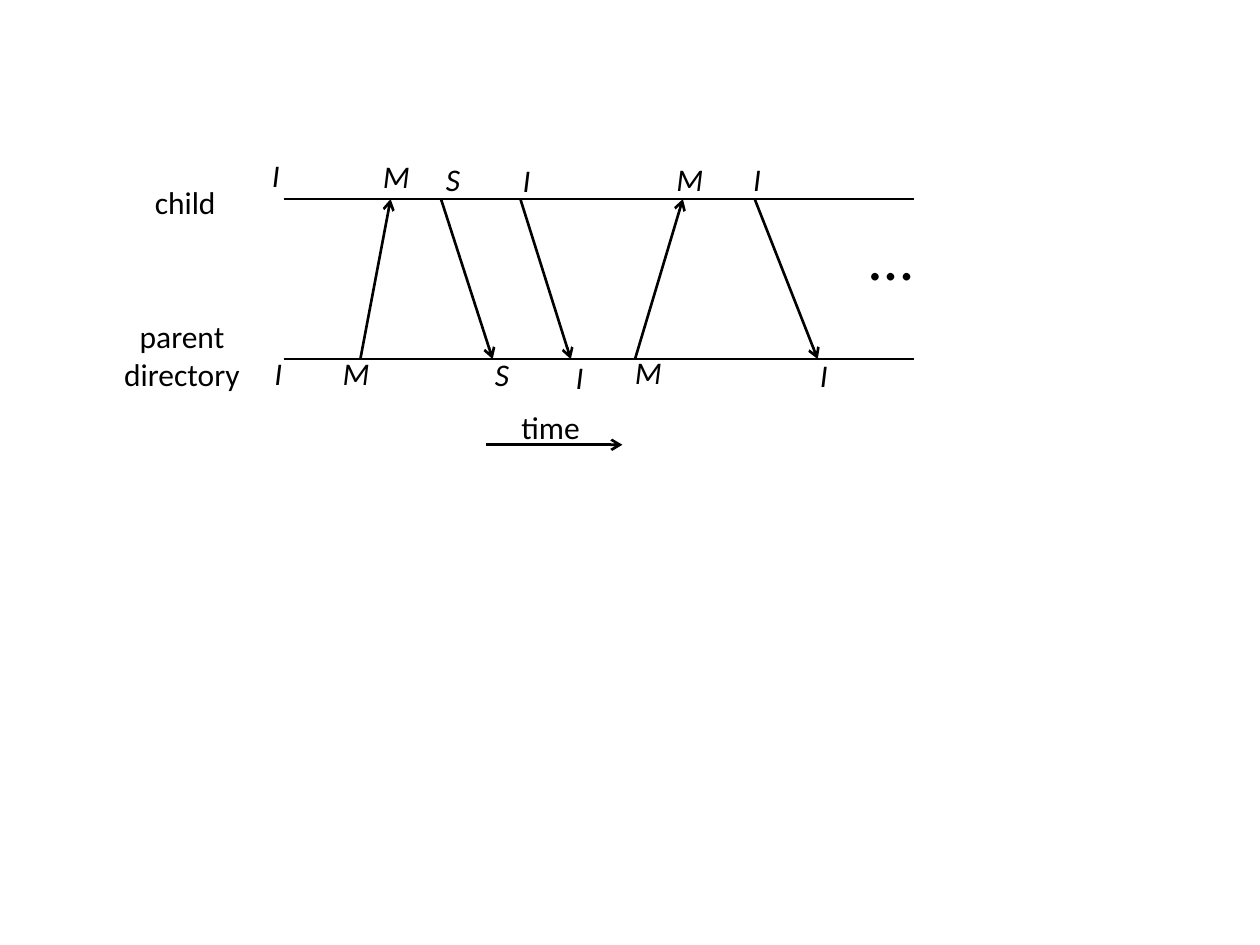
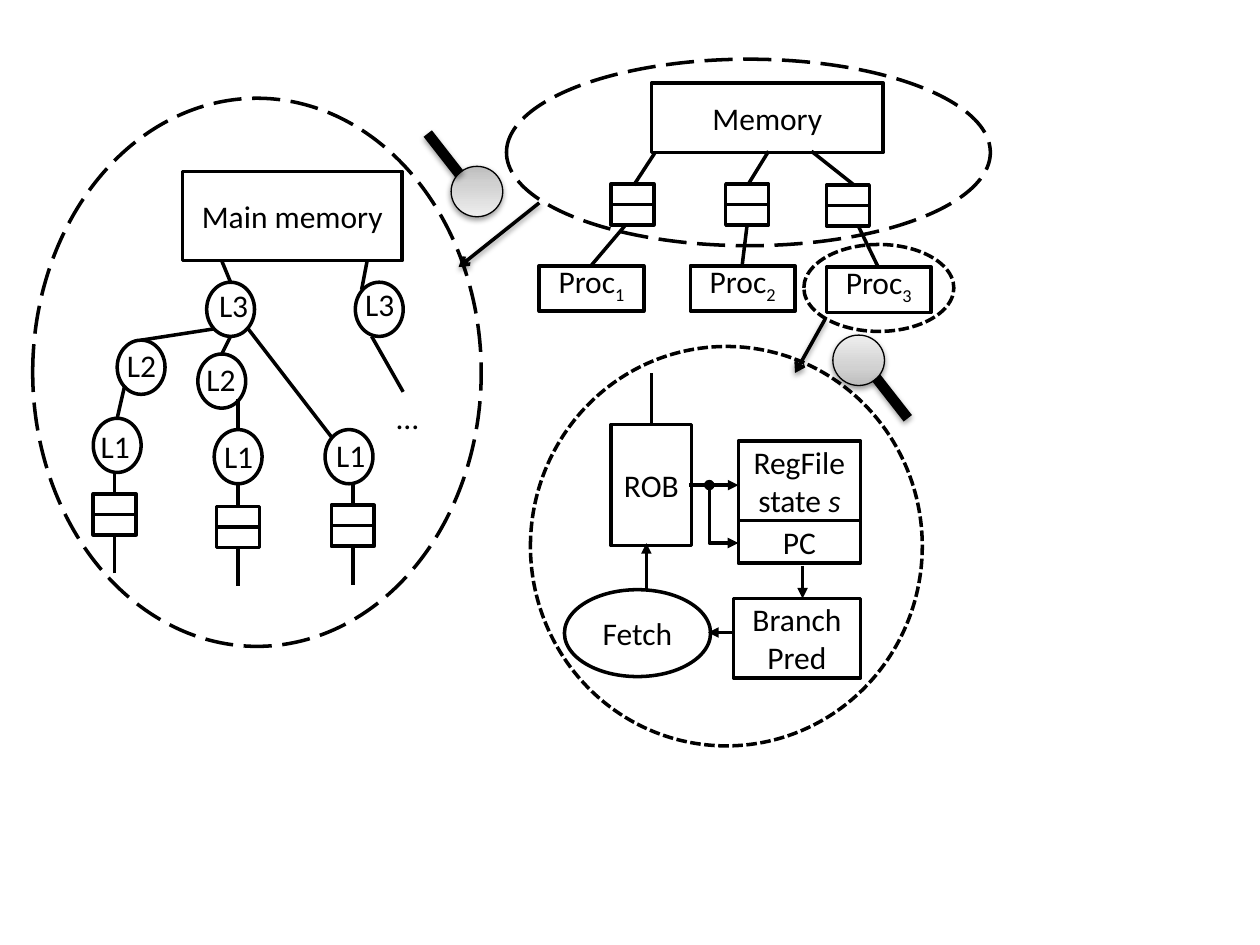
from pptx import Presentation
from pptx.dml.color import RGBColor
from pptx.enum.dml import MSO_LINE
from pptx.enum.shapes import MSO_CONNECTOR, MSO_SHAPE
from pptx.enum.text import MSO_ANCHOR, MSO_AUTO_SIZE, PP_ALIGN
from pptx.oxml import parse_xml
from pptx.oxml.ns import nsdecls
from pptx.util import Inches, Pt

RECT, OVAL = MSO_SHAPE.RECTANGLE, MSO_SHAPE.OVAL
STRAIGHT = MSO_CONNECTOR.STRAIGHT
LONG_DASH, SHORT_DASH = MSO_LINE.LONG_DASH, MSO_LINE.SQUARE_DOT
MIDDLE, BOTTOM = MSO_ANCHOR.MIDDLE, MSO_ANCHOR.BOTTOM
LEFT, CENTER = PP_ALIGN.LEFT, PP_ALIGN.CENTER
NO_GROW, GROW = MSO_AUTO_SIZE.NONE, MSO_AUTO_SIZE.SHAPE_TO_FIT_TEXT

WIDTH, HEIGHT = 10, 7.5
BLACK, WHITE = "000000", "FFFFFF"
FONT = {"name": "Calibri", "size": Pt(18)}
BOX_TEXT = {"word_wrap": True, "auto_size": NO_GROW,
            "margin_left": Inches(0.05), "margin_right": Inches(0.05)}
LABEL_TEXT = {"word_wrap": False, "auto_size": GROW}
LABEL_WIDTHS = {"I": 3.3, "S": 3.8, "M": 4.8}
LENS_STOPS = ((0, "BDBDBD"), (35, "D1D1D1"), (100, "EEEEEE"))
SHADOW = (f'<a:outerShdw {nsdecls("a")} blurRad="40000" dist="20000" dir="5400000" '
          'rotWithShape="0"><a:srgbClr val="000000"><a:alpha val="38000"/>'
          '</a:srgbClr></a:outerShdw>')


def color(value):
    """Turn a hex string into a colour."""
    return RGBColor.from_string(value)


def apply(target, values):
    """Set every attribute named in a dict."""
    for name, value in values.items():
        setattr(target, name, value)


def set_text(tf, paragraphs, align=LEFT, **font):
    """Write paragraphs, each a string or a list of (text, format) runs."""
    for i, runs in enumerate(paragraphs):
        p = tf.paragraphs[0] if i == 0 else tf.add_paragraph()
        p.alignment = align
        for text, extra in [(runs, {})] if isinstance(runs, str) else runs:
            r = p.add_run()
            r.text = text
            values = {**FONT, **font, **extra}
            baseline = values.pop("baseline", None)
            apply(r.font, values)
            r.font.color.rgb = color(BLACK)
            if baseline:
                r._r.get_or_add_rPr().set("baseline", baseline)


def set_outline(sp, width, dash=None, head=None, tail=None, shadow=False):
    """Give a shape its line, arrowheads and effects."""
    sp.line.color.rgb = color(BLACK)
    sp.line.width = Pt(width)
    if dash:
        sp.line.dash_style = dash
    ln = sp.line._get_or_add_ln()
    for tag, kind in (("headEnd", head), ("tailEnd", tail)):
        if kind:
            ln.append(parse_xml(f'<a:{tag} {nsdecls("a")} type="{kind}"/>'))
    effects = parse_xml(f'<a:effectLst {nsdecls("a")}/>')
    if shadow:
        effects.append(parse_xml(SHADOW))
    sp._element.spPr.append(effects)


def set_gradient(sp, stops):
    """Fill a shape with a vertical gradient."""
    sp.fill.background()
    marks = "".join(f'<a:gs pos="{pos * 1000}"><a:srgbClr val="{value}"/></a:gs>'
                    for pos, value in stops)
    spPr = sp._element.spPr
    none = spPr.find("{*}noFill")
    spPr.replace(none, parse_xml(
        f'<a:gradFill {nsdecls("a")} rotWithShape="1"><a:gsLst>{marks}</a:gsLst>'
        '<a:lin ang="16200000" scaled="0"/></a:gradFill>'))


class Region:
    """A box on a slide that is divided into columns and rows."""

    def __init__(self, s, box, cols, rows, shapes=None):
        """Keep the box and the size of one cell."""
        self.s, self.box, self.cols, self.rows = s, box, cols, rows
        self.left, self.top = box[:2]
        self.col, self.row = box[2] / cols, box[3] / rows
        self.shapes = shapes or s.shapes

    def group(self):
        """Return the same grid, drawing into a new group."""
        group = self.s.shapes.add_group_shape()
        return Region(self.s, self.box, self.cols, self.rows, group.shapes)

    def point(self, x, y):
        """Convert a grid point to slide lengths."""
        return Inches(self.left + x * self.col), Inches(self.top + y * self.row)

    def frame(self, x, y, w, h):
        """Convert a grid rectangle to slide lengths."""
        return *self.point(x, y), Inches(w * self.col), Inches(h * self.row)

    def shape(self, kind, x, y, w, h, text=(), anchor=MIDDLE, width=2, **outline):
        """Draw an outlined white shape with centred text."""
        sp = self.shapes.add_shape(kind, *self.frame(x, y, w, h))
        sp.fill.solid()
        sp.fill.fore_color.rgb = color(WHITE)
        set_outline(sp, width, **outline)
        apply(sp.text_frame, {**BOX_TEXT, "vertical_anchor": anchor})
        set_text(sp.text_frame, text, CENTER)
        return sp

    def line(self, x1, y1, x2, y2, width=2, **outline):
        """Draw a straight line or arrow."""
        sp = self.shapes.add_connector(STRAIGHT, *self.point(x1, y1), *self.point(x2, y2))
        set_outline(sp, width, **outline)

    def wire(self, points, **outline):
        """Draw an open bent line."""
        start, *rest = [self.point(*xy) for xy in points]
        builder = self.shapes.build_freeform(*start)
        builder.add_line_segments(rest, close=False)
        sp = builder.convert_to_shape()
        sp.fill.background()
        set_outline(sp, 2, **outline)

    def label(self, x, y, w, h, *paragraphs, align=LEFT, **font):
        """Write free text."""
        tf = self.shapes.add_textbox(*self.frame(x, y, w, h)).text_frame
        apply(tf, LABEL_TEXT)
        set_text(tf, paragraphs, align, **font)

    def buffer(self, x, y):
        """Draw a queue of two stacked cells."""
        group = self.group()
        for i in range(2):
            group.shape(RECT, x, y + 1.63 * i, 3.4, 1.63)


def timeline(s, box):
    """Draw the messages between child and parent over time."""
    g = Region(s, box, 50, 12.7)
    end = g.rows
    for y in (0, end):
        g.line(0, y, g.cols, y, 1.5)
    messages = (
        ("M", 8.5, 6.1, True, (6.9, -3.8), (3.7, 11.8)),
        ("S", 12.5, 16.6, False, (11.9, -3.6), (15.8, 11.9)),
        ("I", 18.8, 22.8, False, (18, -3.5), (22.2, 12.1)),
        ("M", 31.7, 27.9, True, (30.2, -3.6), (26.9, 11.7)),
        ("I", 37.4, 42.4, False, (36.3, -3.6), (41.6, 12)),
    )
    states = [("I", (-1.9, -3.9)), ("I", (-1.7, 11.8))]
    for state, child, parent, upward, above, below in messages:
        ends = (parent, end, child, 0) if upward else (child, 0, parent, end)
        g.line(*ends, 1.5, tail="arrow")
        states += [(state, above), (state, below)]
    for state, at in states:
        g.label(*at, LABEL_WIDTHS[state], 4, state, italic=True)
    g.line(16.1, 19.5, 26.9, 19.5, 1.5, tail="arrow")
    g.label(17.9, 16.1, 6.7, 4, "time")
    g.label(-13.7, 8.9, 11.3, 7.1, "parent", "directory", align=CENTER)
    g.label(-11.2, -1.8, 6.9, 4, "child")
    g.label(45.5, 1, 5.5, 7.1, "…", size=Pt(36))


def core(s, box):
    """Draw the inside of one processor."""
    g = Region(s, box, 31.1, 31.7)
    g.shape(OVAL, 0, 0, g.cols, g.rows, dash=SHORT_DASH)
    state = [("state ", {}), ("s", {"italic": True})]
    for kind, *frame, text in (
            (RECT, 6.4, 6.2, 6.4, 9.6, ["ROB"]),
            (RECT, 16.5, 13.8, 9.7, 3.4, ["PC"]),
            (RECT, 16.5, 7.5, 9.7, 6.3, ["RegFile", state]),
            (OVAL, 2.7, 19.3, 11.6, 6.9, ["Fetch"]),
            (RECT, 16.1, 20, 10.1, 6.3, ["Branch", "Pred"])):
        g.shape(kind, *frame, text)
    g.line(9.6, 6.2, 9.6, 2.1)
    for ends in ((21.6, 17.4, 21.6, 20), (12.6, 11, 16.5, 11),
                 (9.2, 19.3, 9.2, 15.6), (16.1, 22.7, 14.1, 22.7)):
        g.line(*ends, tail="triangle")
    g.wire([(14.2, 11), (14.2, 15.6), (16.5, 15.6)], head="oval", tail="triangle")


def cache_tree(s, box):
    """Draw the cache hierarchy under main memory."""
    g = Region(s, box, 35.6, 43.5)
    g.shape(OVAL, 0, 0, g.cols, g.rows, dash=LONG_DASH)
    caches = (
        ("L3", 13.8, 14.6, 0, -0.2), ("L3", 25.6, 14.6, -0.2, -0.3),
        ("L2", 6.7, 19.2, -0.2, 0), ("L2", 13.1, 20.3, -0.3, 0),
        ("L1", 4.8, 25.4, -0.4, 0.2), ("L1", 14.4, 26.3, -0.2, 0.1),
        ("L1", 23.2, 26.3, -0.1, 0),
    )
    for name, x, y, dx, dy in caches:
        g.shape(OVAL, x, y, 3.8, 4.3)
        g.label(x + dx, y + dy, 4.4, 4, name)
    for ends in ((14.4, 18.3, 8.6, 19.2), (15.7, 18.9, 15, 20.3),
                 (17.1, 18.3, 23.8, 27), (7.3, 22.8, 6.7, 25.4),
                 (16.3, 23.9, 16.3, 26.3), (15.7, 14.6, 13.1, 8.3),
                 (26.9, 18.9, 29.4, 23.3), (26.1, 15.2, 27, 10.5)):
        g.line(*ends)
    for x, y in ((4.8, 31.4), (14.6, 32.4), (23.7, 32.3)):
        middle = x + 1.7
        g.line(middle, y, middle, y - 1.8)
        g.buffer(x, y)
        g.line(middle, y + 6.3, middle, y + 3.3)
    g.shape(RECT, 11.9, 5.8, 17.4, 7.1, ["Main memory"])
    g.label(27.9, 23.3, 3.8, 4, "…")


def system(s, box):
    """Draw the memory and its processors."""
    g = Region(s, box, 38.4, 21.6)
    g.shape(OVAL, 23.6, 14.7, 11.9, 6.9, dash=SHORT_DASH)
    g.shape(OVAL, 0, 0, g.cols, 14.8, dash=LONG_DASH)
    g.shape(RECT, 11.5, 1.9, 18.4, 5.5, ["Memory"])
    processors = (
        ((2.6, 16.4), (8.3, 9.9), (11.8, 7.4, 10.1, 10), (9.5, 13.1, 6.7, 16.4)),
        ((14.6, 16.4), (17.4, 9.9), (20.8, 7.3, 19.2, 9.9), (19.1, 13.1, 18.7, 16.4)),
        ((25.4, 16.5), (25.4, 10), (24.2, 7.3, 27.6, 10), (27.9, 13.2, 29.5, 16.5)),
    )
    for number, (at, queue, upper, lower) in enumerate(processors, 1):
        name = [("Proc", {}), (str(number), {"baseline": "-25000"})]
        g.shape(RECT, *at, 8.3, 3.6, [name], BOTTOM)
        g.line(*lower)
        g.buffer(*queue)
        g.line(*upper)


def magnifier(page, x, y, side):
    """Draw a lens around a point, with its handle down right or up left."""
    g = page.group()
    lens = g.shape(OVAL, x - 2.05, y - 2, 4.1, 4, width=0.75, shadow=True)
    set_gradient(lens, LENS_STOPS)
    lens.rotation = 0 if side > 0 else 180
    g.line(x + 1.4 * side, y + 1.4 * side, x + 3.9 * side, y + 4.6 * side, 6, shadow=True)


def zooms(s, box):
    """Link the overview to its two details."""
    page = Region(s, box, 100, 75)
    magnifier(page, 37.85, 15.2, -1)
    magnifier(page, 68.15, 28.6, 1)
    for ends in ((42.8, 16.1, 36.4, 21.2), (65.5, 25.3, 63.1, 29.6)):
        page.line(*ends, tail="arrow", shadow=True)


SLIDES = (
    ((timeline, (2.25, 1.58, 5, 1.27)),),
    ((core, (4.21, 2.75, 3.11, 3.17)),
     (cache_tree, (0.26, 0.78, 3.56, 4.35)),
     (system, (4.02, 0.47, 3.84, 2.16)),
     (zooms, (0, 0, WIDTH, HEIGHT))),
)

prs = Presentation()
prs.slide_width, prs.slide_height = Inches(WIDTH), Inches(HEIGHT)
for regions in SLIDES:
    s = prs.slides.add_slide(prs.slide_layouts[6])
    for draw, box in regions:
        draw(s, box)
prs.save("out.pptx")
